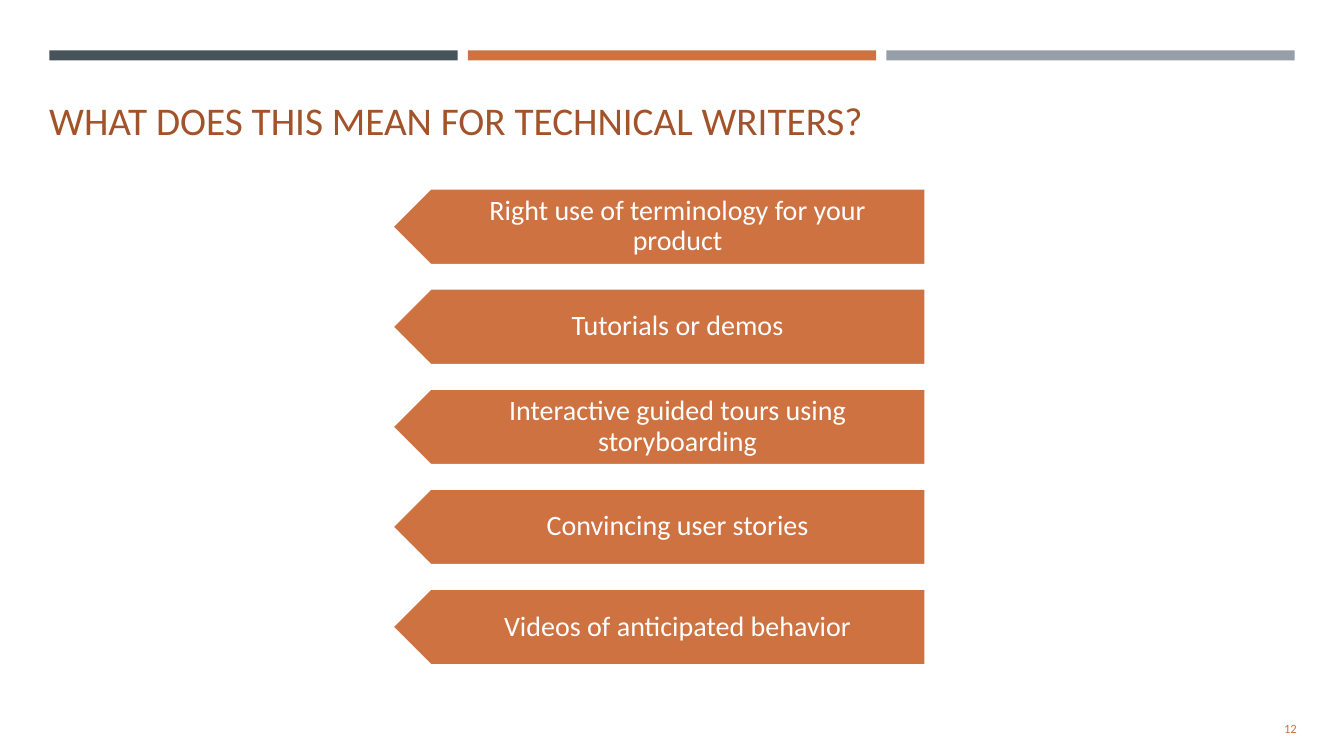
from pptx import Presentation
from pptx.dml.color import RGBColor
from pptx.enum.shapes import MSO_SHAPE
from pptx.enum.text import MSO_ANCHOR, PP_ALIGN
from pptx.util import Inches, Pt

RECTANGLE = MSO_SHAPE.RECTANGLE
MIDDLE, BOTTOM = MSO_ANCHOR.MIDDLE, MSO_ANCHOR.BOTTOM
LEFT, CENTER, RIGHT = PP_ALIGN.LEFT, PP_ALIGN.CENTER, PP_ALIGN.RIGHT
SLATE, ORANGE, GRAY = "465359", "CE7242", "969FA7"
RUST, WHITE = "A2532A", "FFFFFF"


def color(hex_code):
    return RGBColor.from_string(hex_code)


def write(shape, text, size, hex_code, align, anchor):
    frame = shape.text_frame
    frame.word_wrap = True
    frame.vertical_anchor = anchor
    paragraph = frame.paragraphs[0]
    paragraph.text = text
    paragraph.alignment = align
    paragraph.font.name = "Calibri"
    paragraph.font.size = Pt(size)
    paragraph.font.color.rgb = color(hex_code)
    return frame


deck = Presentation()
deck.slide_width, deck.slide_height = Inches(13.33), Inches(7.5)
slide = deck.slides.add_slide(deck.slide_layouts[6])
shapes = slide.shapes

margin, band_width, band_pitch = 0.49, 4.05, 4.15
for column, band_color in enumerate([SLATE, ORANGE, GRAY]):
    band = shapes.add_shape(RECTANGLE, Inches(margin + column * band_pitch),
                            Inches(0.5), Inches(band_width), Inches(0.1))
    band.shadow.inherit = False
    band.fill.solid()
    band.fill.fore_color.rgb = color(band_color)
    band.line.fill.background()

title = shapes.add_textbox(Inches(0.39), Inches(0.46), Inches(10.86), Inches(1.01))
write(title, "WHAT DOES THIS MEAN FOR TECHNICAL WRITERS?", 28, RUST, LEFT, BOTTOM)

page_number = shapes.add_textbox(Inches(11.81), Inches(7.03), Inches(1.15), Inches(0.4))
write(page_number, "12", 9, ORANGE, RIGHT, MIDDLE)

practices = [
    "Right use of terminology for your product",
    "Tutorials or demos",
    "Interactive guided tours using storyboarding",
    "Convincing user stories",
    "Videos of anticipated behavior",
]
first_top, row_pitch, arrow_height = 1.87, 0.9925, 0.76
tip, right = Inches(3.89), Inches(9.18)
shoulder = tip + Inches(arrow_height / 2)

for row, practice in enumerate(practices):
    top = Inches(first_top + row * row_pitch)
    middle = top + Inches(arrow_height / 2)
    bottom = top + Inches(arrow_height)
    outline = shapes.build_freeform(right, bottom)
    outline.add_line_segments(
        [(shoulder, bottom), (tip, middle), (shoulder, top), (right, top)], close=True)
    arrow = outline.convert_to_shape()
    arrow.shadow.inherit = False
    arrow.fill.solid()
    arrow.fill.fore_color.rgb = color(ORANGE)
    arrow.line.color.rgb = color(WHITE)
    arrow.line.width = Pt(1.75)
    frame = write(arrow, practice, 20, WHITE, CENTER, MIDDLE)
    frame.margin_left, frame.margin_right = Inches(0.53), Inches(0.16)
    frame.margin_top = frame.margin_bottom = Inches(0.08)
    frame.paragraphs[0].line_spacing = 0.9

deck.save("out.pptx")
